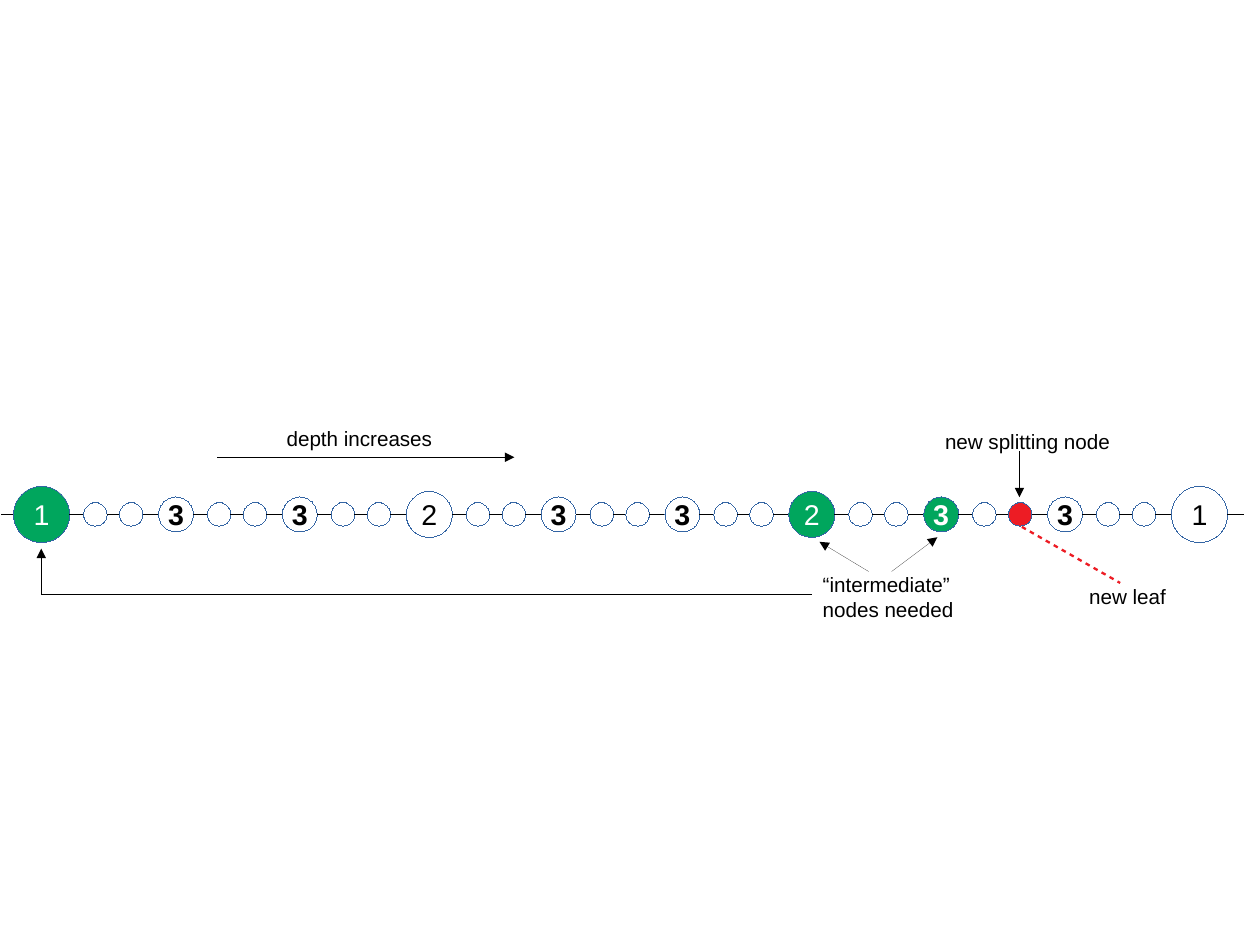
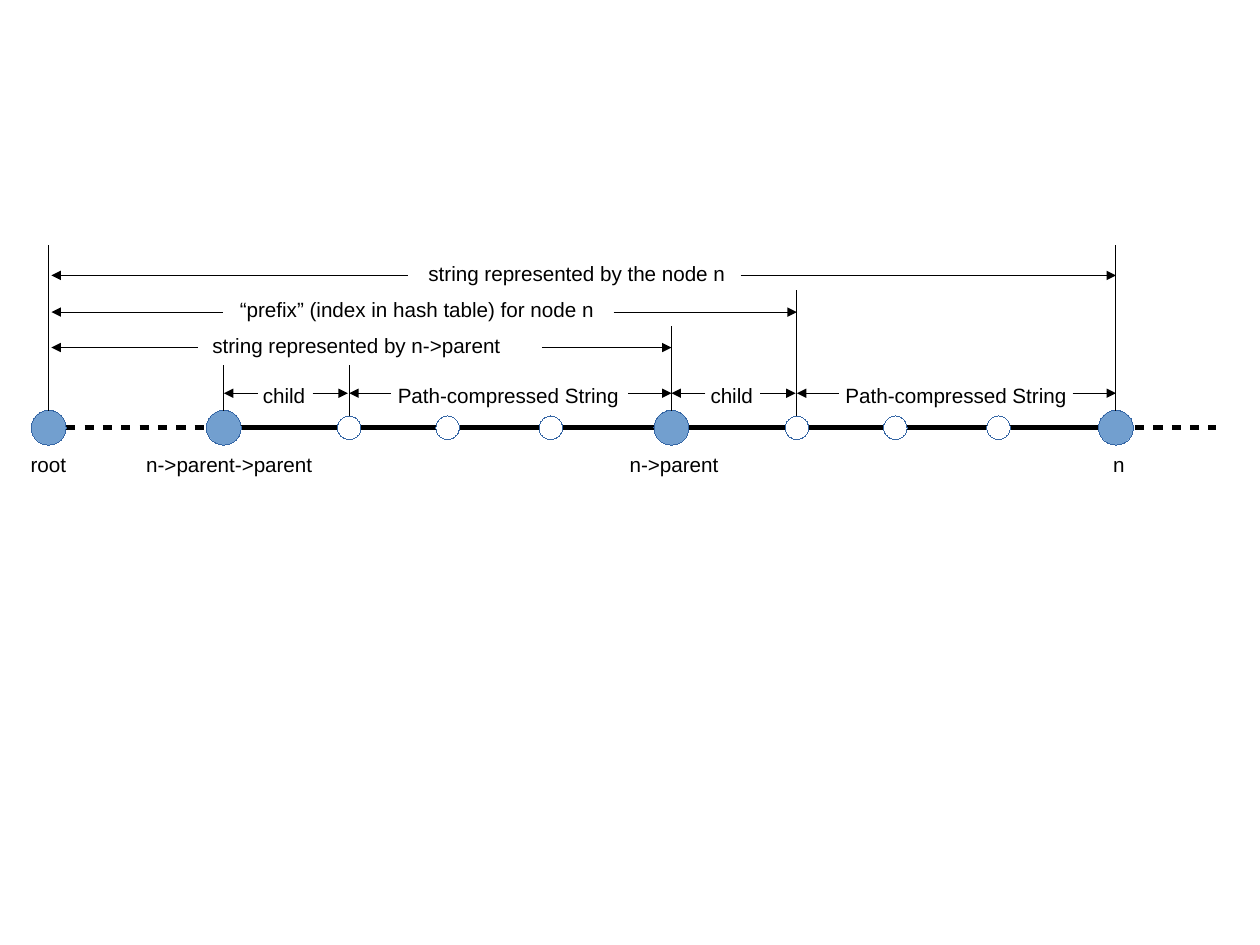
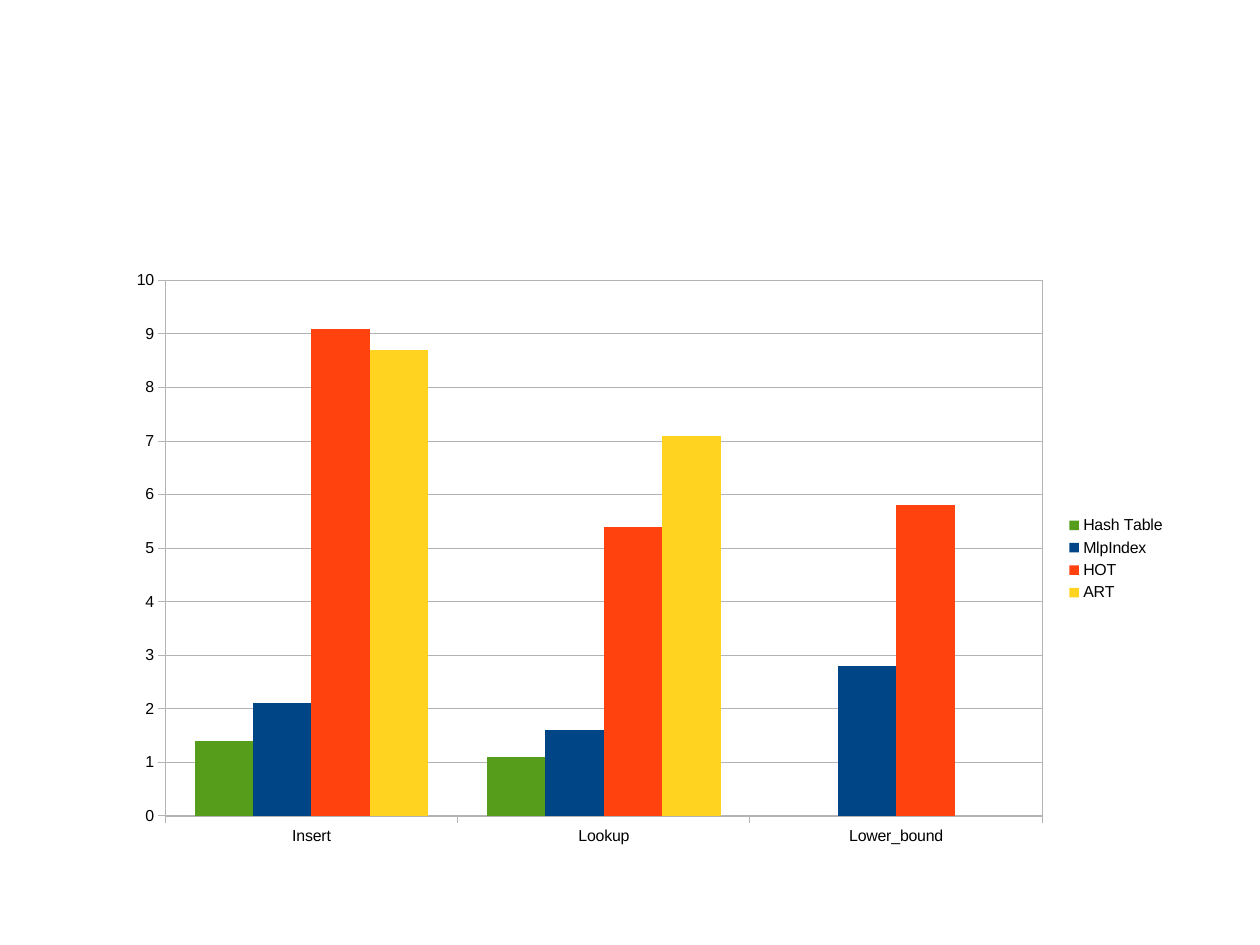
from lxml import etree
from pptx import Presentation
from pptx.chart.data import CategoryChartData
from pptx.dml.color import RGBColor
from pptx.enum.chart import XL_CHART_TYPE, XL_LEGEND_POSITION, XL_TICK_MARK
from pptx.enum.shapes import MSO_CONNECTOR, MSO_SHAPE
from pptx.enum.text import MSO_ANCHOR, MSO_AUTO_SIZE, PP_ALIGN
from pptx.oxml import parse_xml
from pptx.oxml.ns import nsdecls, qn
from pptx.util import Pt

COLUMNS = XL_CHART_TYPE.COLUMN_CLUSTERED
LEGEND_RIGHT = XL_LEGEND_POSITION.RIGHT
TICK_OUTSIDE = XL_TICK_MARK.OUTSIDE
STRAIGHT = MSO_CONNECTOR.STRAIGHT
ELLIPSE = MSO_SHAPE.OVAL
MIDDLE = MSO_ANCHOR.MIDDLE
GROW = MSO_AUTO_SIZE.SHAPE_TO_FIT_TEXT
CENTER = PP_ALIGN.CENTER

COLORS = {
    "black": "000000", "white": "FFFFFF", "outline": "3465A4",
    "green": "00A65D", "red": "ED1C24", "blue": "729FCF", "grid": "B3B3B3",
    "Hash Table": "579D1C", "MlpIndex": "004586", "HOT": "FF420E", "ART": "FFD320",
}
FONT = "Arial"
SLIDE_SIZE = (793.7, 595.25)
HAIRLINE, PATH_WIDTH = 0, 2.89
SMALL, MEDIUM = 14.8, 22
DIAMETERS = {"1": 35.4, "2": 29, "3": MEDIUM}


def rgb(name):
    return RGBColor.from_string(COLORS[name])


def style_font(font, size, color="black", bold=None):
    font.name = FONT
    font.size = Pt(size)
    font.color.rgb = rgb(color)
    font.bold = bold


def style_line(line, color, width=HAIRLINE):
    """Colour a line; a zero width must be written out to count."""
    line.color.rgb = rgb(color)
    properties = line._get_or_add_ln()
    properties.set("w", str(int(Pt(width))))
    return properties


def add_line(page, start, end, width=HAIRLINE, color="black", arrow=False, dashed=False):
    line = page.shapes.add_connector(STRAIGHT, *map(Pt, (*start, *end)))
    properties = style_line(line.line, color, width)
    if dashed:
        dashes = etree.SubElement(properties, qn("a:custDash"))
        etree.SubElement(dashes, qn("a:ds"), d="200000", sp="200000")
    if arrow:
        etree.SubElement(properties, qn("a:tailEnd"), type="triangle")
    etree.SubElement(line._element.spPr, qn("a:effectLst"))


def add_arrow(page, start, end):
    add_line(page, start, end, arrow=True)


def add_node(page, x, y, diameter, fill=None, text=""):
    """Draw a circle around the centre (x, y)."""
    corner = (x - diameter / 2, y - diameter / 2)
    node = page.shapes.add_shape(ELLIPSE, *map(Pt, (*corner, diameter, diameter)))
    node.shadow.inherit = False
    style_line(node.line, "outline")
    if fill:
        node.fill.solid()
        node.fill.fore_color.rgb = rgb(fill)
    else:
        node.fill.background()
    if text:
        frame = node.text_frame
        frame.text = text
        frame.word_wrap = False
        frame.vertical_anchor = MIDDLE
        para = frame.paragraphs[0]
        para.alignment = CENTER
        style_font(para.runs[0].font, 18, "white" if fill else "black", text == "3")


def add_label(page, text, left, top, width, height=21.6):
    box = page.shapes.add_textbox(*map(Pt, (left, top, width, height)))
    frame = box.text_frame
    frame.text = text
    frame.word_wrap = False
    frame.auto_size = GROW
    for para in frame.paragraphs:
        for span in para.runs:
            style_font(span.font, 13)


# Slide 1: nodes by depth
def draw_splitting(page):
    axis = 324
    numbers = "1332332331"
    needed = {0, 6, 7}
    gap_after, gap_between, gap_before = 8.8, 7.8, 9.8
    left = 8.5

    add_line(page, (0.7, axis), (left, axis))
    for index, number in enumerate(numbers):
        diameter = DIAMETERS[number]
        fill = "green" if index in needed else None
        add_node(page, left + diameter / 2, axis, diameter, fill, number)
        left += diameter
        if index == len(numbers) - 1:
            break
        for gap, fill in ((gap_after, None), (gap_between, "red" if index == 7 else None)):
            add_line(page, (left, axis), (left + gap, axis))
            left += gap
            add_node(page, left + SMALL / 2, axis, SMALL, fill)
            left += SMALL
        add_line(page, (left, axis), (left + gap_before, axis))
        left += gap_before
    add_line(page, (left, axis), (783.4, axis))

    # Notes above and below the row
    add_label(page, "depth increases", 173.5, 264.7, 105.8)
    add_arrow(page, (136.8, 288), (324, 288))
    add_label(page, "new splitting node", 588.2, 266.4, 118)
    add_arrow(page, (642.2, 284.4), (642.2, 313.2))
    add_label(page, "new leaf", 679, 364, 62.6)
    add_line(page, (643.7, 331.9), (705.6, 367.2), 1.45, "red", dashed=True)
    add_label(page, "“intermediate”\nnodes needed", 511.2, 356.9, 96.5, 36)
    add_arrow(page, (561.6, 360), (590.4, 338.4))
    add_arrow(page, (547.2, 360), (516.2, 341.3))
    add_line(page, (26, 374.4), (511.2, 374.4))
    add_arrow(page, (26, 374.4), (26, 345.6))


# Slide 2: strings along a path
def draw_path(page):
    axis = 269.4
    root, grandparent, parent, node = 30.7, 141, 423, 703
    levels = ((grandparent, parent), (parent, node))
    child_offset = 79
    nodes = [(root, MEDIUM), (grandparent, MEDIUM)]
    for start, end in levels:
        nodes += [(start + offset, SMALL) for offset in (child_offset, 141, 206)]
        nodes.append((end, MEDIUM))

    # Thick path with its nodes
    for index, ((x, size), (next_x, next_size)) in enumerate(zip(nodes, nodes[1:])):
        add_line(page, (x + size / 2, axis), (next_x - next_size / 2, axis),
                 PATH_WIDTH, dashed=index == 0)
    add_line(page, (node + 12, axis), (766.1, axis), PATH_WIDTH, dashed=True)
    for x, size in nodes:
        add_node(page, x, axis, size, "blue" if size == MEDIUM else "white")

    # Upright limits
    for x, top, size in ((root, 154.8, MEDIUM), (grandparent, 230.4, MEDIUM),
                         (grandparent + child_offset, 230.4, SMALL),
                         (parent, 205.9, MEDIUM),
                         (parent + child_offset, 182.9, SMALL),
                         (node, 154.8, MEDIUM)):
        add_line(page, (x, axis - size / 2), (x, top))

    # Parts of each level
    row = 247.7
    for start, end in levels:
        child = start + child_offset
        for tail, head in ((start + 21.3, start), (start + 56, child - 0.8),
                           (child + 26.4, child), (end - 27.3, end)):
            add_arrow(page, (tail, row), (head, row))
        add_label(page, "child", start + 17.5, 237.6, 43.2)
        add_label(page, "Path-compressed String", start + 102.5, 237.6, 153.4)

    # Strings that begin at the root
    for text, y, left, width, left_tail, right_tail, end in (
            ("string represented by the node n",
             173.5, 262.8, 200.9, 257, 466.6, node),
            ("“prefix” (index in hash table) for node n",
             196.6, 144, 245.5, 140.4, 386.6, parent + child_offset),
            ("string represented by n->parent",
             218.9, 126.7, 198, 124.6, 341.3, parent)):
        add_arrow(page, (left_tail, y), (root + 1.7, y))
        add_arrow(page, (right_tail, y), (end, y))
        add_label(page, text, left, y - 13, width)

    for text, left, width in (("root", 12.2, 51.1), ("n->parent->parent", 85, 120),
                              ("n->parent", 389.5, 73), ("n", 694.1, 41)):
        add_label(page, text, left, 280.8, width)


# Slide 3: column chart
def frame_plot(chart):
    """Fix the inner plot area and outline it."""
    area = chart._chartSpace.chart.plotArea
    for layout in area.findall(qn("c:layout")):
        area.remove(layout)
    places = (("xMode", "edge"), ("yMode", "edge"), ("x", 0.047), ("y", 0.033),
              ("w", 0.826), ("h", 0.898))
    values = "".join(f'<c:{name} val="{value}"/>' for name, value in places)
    area.insert(0, parse_xml(
        f'<c:layout {nsdecls("c")}><c:manualLayout><c:layoutTarget val="inner"/>'
        f'{values}</c:manualLayout></c:layout>'))
    area.append(parse_xml(
        f'<c:spPr {nsdecls("c", "a")}><a:noFill/><a:ln w="0"><a:solidFill>'
        f'<a:srgbClr val="{COLORS["grid"]}"/></a:solidFill></a:ln></c:spPr>'))


def draw_chart(page):
    data = CategoryChartData()
    data.categories = ["Insert", "Lookup", "Lower_bound"]
    for name, values in (("Hash Table", (1.4, 1.1, None)), ("MlpIndex", (2.1, 1.6, 2.8)),
                         ("HOT", (9.1, 5.4, 5.8)), ("ART", (8.7, 7.1, None))):
        data.add_series(name, values)
    chart = page.shapes.add_chart(COLUMNS, Pt(72.7), Pt(164.2), Pt(668.9), Pt(375.8), data).chart
    chart.has_title = False
    style_font(chart.font, 10)

    plot = chart.plots[0]
    plot.gap_width = 100
    plot.overlap = 0
    plot.vary_by_categories = False
    for series in plot.series:
        series.format.fill.solid()
        series.format.fill.fore_color.rgb = rgb(series.name)

    for axis in (chart.category_axis, chart.value_axis):
        axis.major_tick_mark = TICK_OUTSIDE
        style_font(axis.tick_labels.font, 10)
        style_line(axis.format.line, "grid")
    scale = chart.value_axis
    scale.minimum_scale, scale.maximum_scale, scale.major_unit = 0, 10, 1
    scale.has_major_gridlines = True
    style_line(scale.major_gridlines.format.line, "grid")

    chart.has_legend = True
    chart.legend.position = LEGEND_RIGHT
    chart.legend.include_in_layout = False
    style_font(chart.legend.font, 10)
    frame_plot(chart)


def main():
    deck = Presentation()
    deck.slide_width, deck.slide_height = map(Pt, SLIDE_SIZE)
    blank = deck.slide_layouts[6]
    for draw in (draw_splitting, draw_path, draw_chart):
        draw(deck.slides.add_slide(blank))
    deck.save("out.pptx")


if __name__ == "__main__":
    main()
